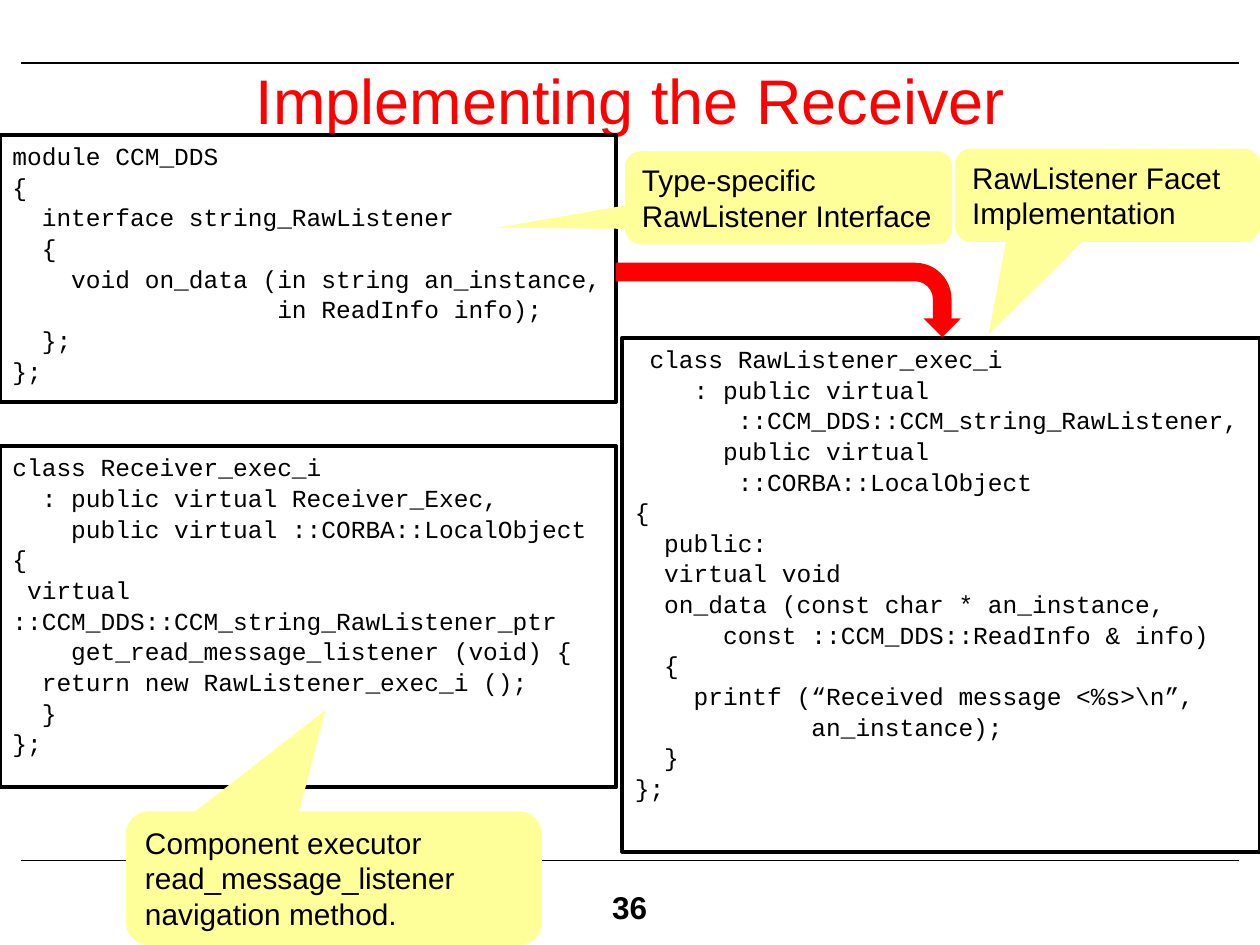
import pptx
import pptx.util
from pptx.dml.color import RGBColor
from pptx.enum.shapes import MSO_CONNECTOR, MSO_SHAPE
from pptx.enum.text import MSO_ANCHOR, PP_ALIGN
from pptx.oxml.ns import qn
from lxml import etree

Inches, Pt = pptx.util.Inches, pptx.util.Pt

BLACK = RGBColor(0x00, 0x00, 0x00)
WHITE = RGBColor(0xFF, 0xFF, 0xFF)
RED = RGBColor(0xFF, 0x00, 0x00)
YELLOW = RGBColor(0xFF, 0xFF, 0x99)

TITLE = "Implementing the Receiver"
PAGE = "36"

INTERFACE = """\
module CCM_DDS
{
  interface string_RawListener
  {
    void on_data (in string an_instance,
                  in ReadInfo info);
  };
};"""

LISTENER = """\
 class RawListener_exec_i
    : public virtual
       ::CCM_DDS::CCM_string_RawListener,
      public virtual
       ::CORBA::LocalObject
{
  public:
  virtual void
  on_data (const char * an_instance,
      const ::CCM_DDS::ReadInfo & info)
  {
    printf (“Received message <%s>\\n”,
            an_instance);
  }
};"""

RECEIVER = """\
class Receiver_exec_i
  : public virtual Receiver_Exec,
    public virtual ::CORBA::LocalObject
{
 virtual
::CCM_DDS::CCM_string_RawListener_ptr
    get_read_message_listener (void) {
  return new RawListener_exec_i ();
  }
};"""

# (left, top, width, height), code
CODE_BOXES = [
    ((0, 1.07, 4.89, 2.12), INTERFACE),
    ((4.94, 2.68, 5.06, 4.08), LISTENER),
    ((0, 3.54, 4.89, 2.71), RECEIVER),
]
# (left, top, width, height), pointer tip as shares of the size, text
CALLOUTS = [
    ((7.58, 1.18, 2.42, 0.74), (-0.39, 1.49), "RawListener Facet Implementation"),
    ((4.96, 1.2, 2.6, 0.74), (-0.89, 0.32), "Type-specific RawListener Interface"),
    ((1, 6.44, 3.3, 1.06), (-0.02, -1.26),
     "Component executor read_message_listener navigation method."),
]
ARROW_BOX = (5.96, 1.01, 0.59, 2.74)
ARROW_ADJUSTMENTS = (0.25, 0.25, 0.25, 0.49)
RULE_LEFT, RULE_RIGHT = 0.17, 9.83
RULE_TOPS = (0.5, 6.83)

CODE_FONT = dict(name="Courier New", size=Pt(14))
CALLOUT_FONT = dict(name="Arial", size=Pt(17))
TITLE_FONT = dict(name="Arial", size=Pt(36))
PAGE_FONT = dict(name="Arial", size=Pt(18), bold=True)


def inches(box):
    return [Inches(v) for v in box]


def write(sp, text, font, color=BLACK, align=PP_ALIGN.LEFT,
          anchor=MSO_ANCHOR.TOP, space=0):
    tf = sp.text_frame
    tf.word_wrap = True
    tf.vertical_anchor = anchor
    for i, line in enumerate(text.split("\n")):
        p = tf.add_paragraph() if i else tf.paragraphs[0]
        p.alignment = align
        p.space_before = Pt(space)
        r = p.add_run()
        r.text = line
        for key, value in font.items():
            setattr(r.font, key, value)
        r.font.color.rgb = color


def add_shape(slide, kind, box, fill=None, line=None, adjustments=()):
    sp = slide.shapes.add_shape(kind, *inches(box))
    sp.shadow.inherit = False
    for i, value in enumerate(adjustments):
        sp.adjustments[i] = value
    for part, color in ((sp.fill, fill), (sp.line.fill, line)):
        if color is None:
            part.background()
        else:
            part.solid()
            part.fore_color.rgb = color
    return sp


def add_rule(slide, top):
    line = slide.shapes.add_connector(
        MSO_CONNECTOR.STRAIGHT, *inches((RULE_LEFT, top, RULE_RIGHT, top)))
    line.line.color.rgb = BLACK
    line.line.width = Pt(0.75)
    etree.SubElement(line._element.spPr, qn("a:effectLst"))


def add_code(slide, box, code):
    sp = add_shape(slide, MSO_SHAPE.RECTANGLE, box, line=BLACK)
    sp.line.width = Pt(2.25)
    write(sp, code, CODE_FONT, space=0.7)


def main():
    prs = pptx.Presentation()
    prs.slide_width, prs.slide_height = Inches(10), Inches(7.5)
    slide = prs.slides.add_slide(prs.slide_layouts[5])

    for top in RULE_TOPS:
        add_rule(slide, top)
    page = add_shape(slide, MSO_SHAPE.RECTANGLE, (4.76, 7, 0.51, 0.4), fill=WHITE)
    write(page, PAGE, PAGE_FONT)

    title = slide.shapes.title
    title.left, title.top, title.width, title.height = inches((0.17, 0.58, 9.67, 0.42))
    write(title, TITLE, TITLE_FONT, RED, PP_ALIGN.CENTER, MSO_ANCHOR.MIDDLE)

    *upper_boxes, receiver_box = CODE_BOXES
    for box, code in upper_boxes:
        add_code(slide, box, code)
    arrow = add_shape(slide, MSO_SHAPE.BENT_ARROW, ARROW_BOX, fill=RED,
                      adjustments=ARROW_ADJUSTMENTS)
    arrow.rotation = 90
    add_code(slide, *receiver_box)
    for box, tip, text in CALLOUTS:
        sp = add_shape(slide, MSO_SHAPE.ROUNDED_RECTANGULAR_CALLOUT, box,
                       fill=YELLOW, adjustments=(*tip, 0.17))
        write(sp, text, CALLOUT_FONT)

    prs.save("out.pptx")


if __name__ == "__main__":
    main()
